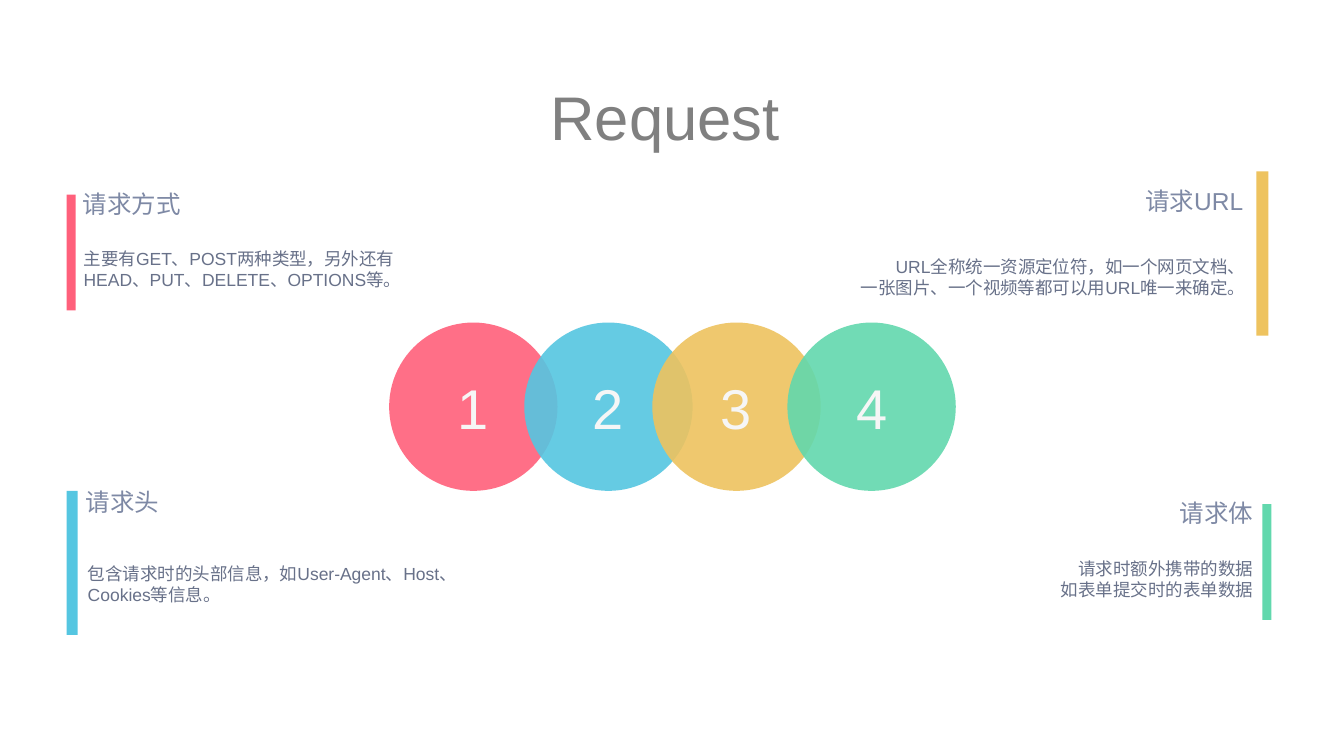
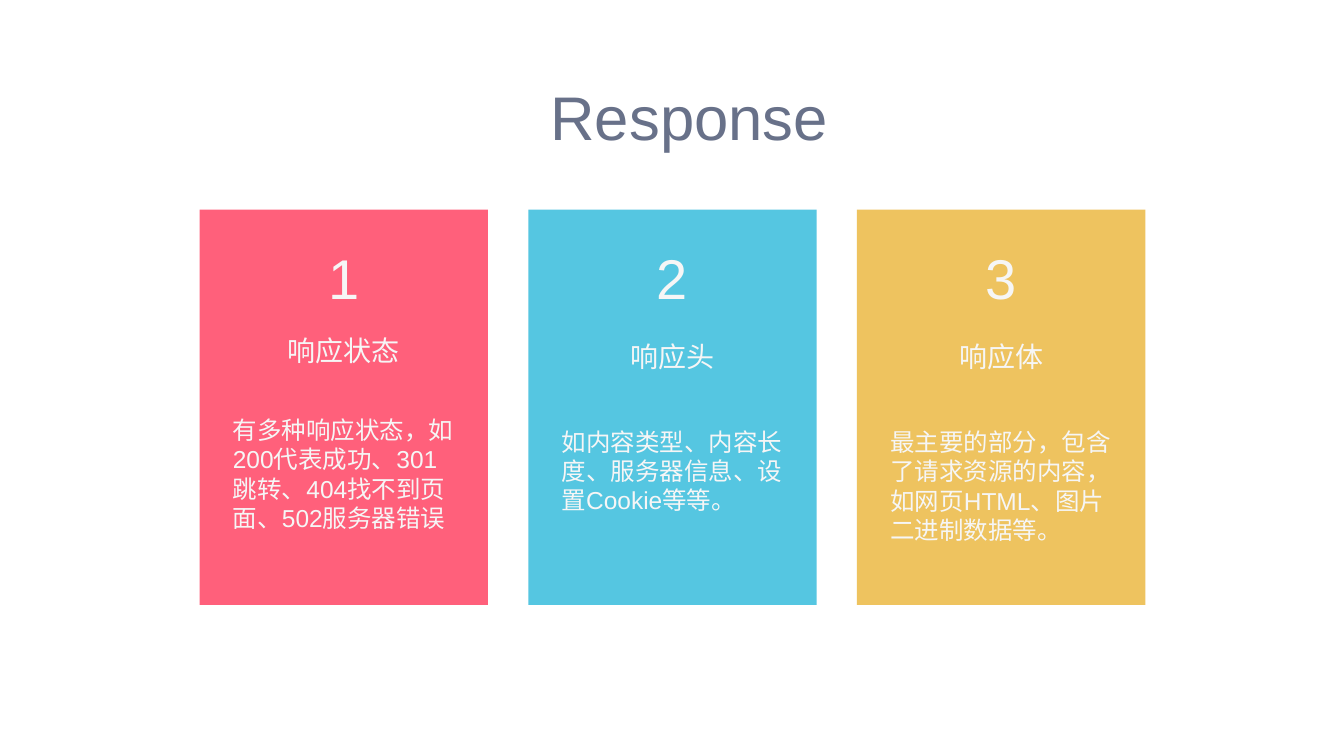
from lxml import etree
from pptx import Presentation
from pptx.dml.color import RGBColor
from pptx.enum import shapes, text
from pptx.oxml.ns import qn
from pptx.util import Inches, Pt

RED, BLUE, GOLD, GREEN = "FF607B", "55C6E1", "EEC35F", "62D8AD"
PALE, SLATE, DARK, GREY = "F6F6F6", "7E89A5", "687189", "808080"
LEFT, MID, RIGHT = text.PP_ALIGN.LEFT, text.PP_ALIGN.CENTER, text.PP_ALIGN.RIGHT
OVAL, RECT = shapes.MSO_SHAPE.OVAL, shapes.MSO_SHAPE.RECTANGLE


def tint(code):
    return RGBColor.from_string(code)


def write(shape, words, size=12.5, color=DARK, align=LEFT):
    frame = shape.text_frame
    frame.text = words
    frame.word_wrap = True
    frame.auto_size = text.MSO_AUTO_SIZE.NONE
    frame.vertical_anchor = text.MSO_ANCHOR.MIDDLE
    frame.margin_left = frame.margin_right = Inches(0.03)
    frame.margin_top = frame.margin_bottom = Inches(0.03)
    for para in frame.paragraphs:
        para.alignment = align
        for run in para.runs:
            run.font.name = "Arial"
            run.font.size = Pt(size)
            run.font.color.rgb = tint(color)


class Deck:
    def __init__(self):
        self.file = Presentation()
        self.file.slide_width = Inches(13.33)
        self.file.slide_height = Inches(7.5)
        self.slide = None

    def start(self, words, color):
        self.slide = self.file.slides.add_slide(self.file.slide_layouts[5])
        title = self.slide.shapes.title
        title.left, title.top = Inches(5.43), Inches(0.75)
        title.width, title.height = Inches(2.89), Inches(0.8)
        write(title, words, size=44, color=color)

    def shape(self, kind, box, color, alpha=None):
        item = self.slide.shapes.add_shape(kind, *map(Inches, box))
        item.shadow.inherit = False
        item.fill.solid()
        item.fill.fore_color.rgb = tint(color)
        item.line.fill.background()
        if alpha:
            shade = item.fill._xPr.find(".//" + qn("a:srgbClr"))
            etree.SubElement(shade, qn("a:alpha"), val=str(alpha * 1000))
        return item

    def label(self, box, words, **style):
        write(self.slide.shapes.add_textbox(*map(Inches, box)), words, **style)

    def disc(self, left, number, color):
        item = self.shape(OVAL, (left, 3.2, 1.67, 1.67), color, alpha=90)
        write(item, number, size=40, color=PALE, align=MID)

    def note(self, color, bar, head, title, body, words, align):
        self.label(head, title, size=17.5, color=SLATE, align=align)
        self.label(body, words, align=align)
        self.shape(RECT, bar, color)

    def card(self, left, color, number, title, drop, words, top):
        wide = 2.86
        self.shape(RECT, (left, 2.08, wide, 3.92), color)
        self.label((left, 2.38, wide, 0.73), number, size=40, color=PALE, align=MID)
        self.label((left, drop, wide, 0.39), title, size=20, color=PALE, align=MID)
        self.label((left + 0.3, top, wide - 0.6, 1.5), words, size=17.5, color=PALE)


deck = Deck()

deck.start("Request", GREY)
discs = zip((3.86, 5.2, 6.47, 7.81), (RED, BLUE, GOLD, GREEN))
for count, (left, color) in enumerate(discs, 1):
    deck.disc(left, str(count), color)

notes = [
    (RED, (0.66, 1.93, 0.09, 1.15), (0.79, 1.85, 1.2, 0.35), "请求方式",
     (0.8, 2.43, 3.26, 0.48),
     "主要有GET、POST两种类型，另外还有HEAD、PUT、DELETE、OPTIONS等。", LEFT),
    (BLUE, (0.66, 4.87, 0.11, 1.43), (0.82, 4.75, 1.18, 0.46), "请求头",
     (0.84, 4.98, 4.05, 1.62),
     "包含请求时的头部信息，如User-Agent、Host、Cookies等信息。", LEFT),
    (GOLD, (12.46, 1.7, 0.12, 1.63), (9.84, 1.71, 2.52, 0.56), "请求URL",
     (7.77, 2, 4.61, 1.49),
     "URL全称统一资源定位符，如一个网页文档、\n一张图片、一个视频等都可以用URL唯一来确定。", RIGHT),
    (GREEN, (12.52, 5, 0.09, 1.15), (10.68, 4.91, 1.78, 0.35), "请求体",
     (9.2, 5.5, 3.26, 0.48),
     "请求时额外携带的数据\n如表单提交时的表单数据", RIGHT),
]
for note in notes:
    deck.note(*note)

deck.start("Response", DARK)
cards = [
    (RED, "1", "响应状态", 3.28,
     "有多种响应状态，如200代表成功、301跳转、404找不到页面、502服务器错误", 3.95),
    (BLUE, "2", "响应头", 3.34,
     "如内容类型、内容长度、服务器信息、设置Cookie等等。", 3.92),
    (GOLD, "3", "响应体", 3.34,
     "最主要的部分，包含了请求资源的内容，如网页HTML、图片二进制数据等。", 4.07),
]
for spot, card in enumerate(cards):
    deck.card(1.98 + spot * 3.26, *card)

deck.file.save("out.pptx")
